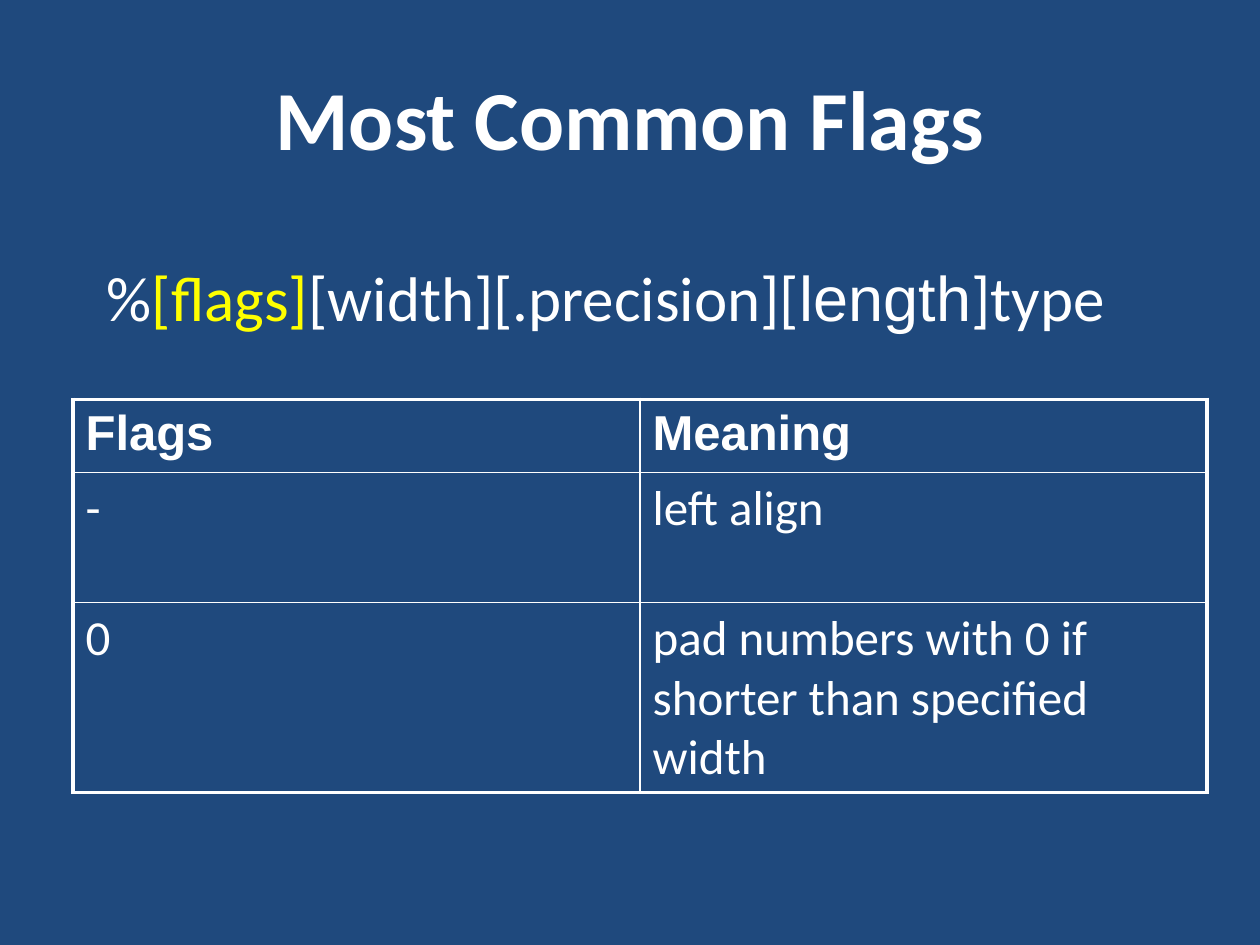
from lxml.etree import SubElement
from pptx import Presentation
from pptx.dml.color import RGBColor
from pptx.enum.text import MSO_ANCHOR as Anchor, PP_ALIGN as Align
from pptx.oxml.ns import qn
from pptx.util import Inches, Pt

COLORS = {"background": "1F497D", "text": "FFFFFF", "highlight": "FFFF00"}
FLAG_ROWS = [
    ("Flags", "Meaning"),
    ("-", "left align"),
    ("0", "pad numbers with 0 if shorter than specified width"),
]
ROW_HEIGHTS = (0.58, 1.03, 1.51)
FORMAT_PARTS = [
    ("%", {}),
    ("[flags]", {"color": "highlight"}),
    ("[width][.precision][", {}),
    ("length", {"font": "Arial"}),
    ("]type", {}),
]


def add_text(paragraph, text, size=28, font="Calibri", color="text", bold=False):
    run = paragraph.add_run()
    run.text = text
    run.font.size = Pt(size)
    run.font.name = font
    run.font.bold = bold
    run.font.color.rgb = RGBColor.from_string(COLORS[color])


def add_title(slide, box):
    frame = slide.shapes.add_textbox(*map(Inches, box)).text_frame
    frame.word_wrap = True
    frame.vertical_anchor = Anchor.MIDDLE
    heading = frame.paragraphs[0]
    heading.alignment = Align.CENTER
    add_text(heading, "Most Common Flags", size=48, bold=True)


def add_format_line(slide, box):
    frame = slide.shapes.add_textbox(*map(Inches, box)).text_frame
    frame.word_wrap = False
    for text, style in FORMAT_PARTS:
        add_text(frame.paragraphs[0], text, size=36, **style)


def set_borders(cell, outer_sides):
    properties = cell._tc.get_or_add_tcPr()
    for position, side in enumerate("LRTB"):
        width = Pt(2.25 if side in outer_sides else 1)
        border = properties.makeelement(qn(f"a:ln{side}"), {"w": str(int(width))})
        fill = SubElement(border, qn("a:solidFill"))
        SubElement(fill, qn("a:srgbClr"), val=COLORS["text"])
        properties.insert(position, border)


def add_flag_table(slide, box):
    table = slide.shapes.add_table(len(FLAG_ROWS), 2, *map(Inches, box)).table
    table.first_row = table.horz_banding = False
    last_row = len(FLAG_ROWS) - 1
    for row, (texts, height) in enumerate(zip(FLAG_ROWS, ROW_HEIGHTS)):
        table.rows[row].height = Inches(height)
        style = {"font": "Arial", "bold": True} if row == 0 else {}
        row_edges = {0: "T", last_row: "B"}.get(row, "")
        for column, text in enumerate(texts):
            cell = table.cell(row, column)
            cell.fill.background()
            add_text(cell.text_frame.paragraphs[0], text, **style)
            set_borders(cell, row_edges + "LR"[column])


def build_flags_slide(deck):
    slide = deck.slides.add_slide(deck.slide_layouts[6])
    background = slide.background.fill
    background.solid()
    background.fore_color.rgb = RGBColor.from_string(COLORS["background"])
    add_title(slide, (0.5, 0.3, 9, 1.25))
    add_flag_table(slide, (0.58, 3.17, 9, sum(ROW_HEIGHTS)))
    add_format_line(slide, (0.75, 2, 8.12, 1.01))


deck = Presentation()
deck.slide_width, deck.slide_height = Inches(10), Inches(7.5)
build_flags_slide(deck)
deck.save("out.pptx")
